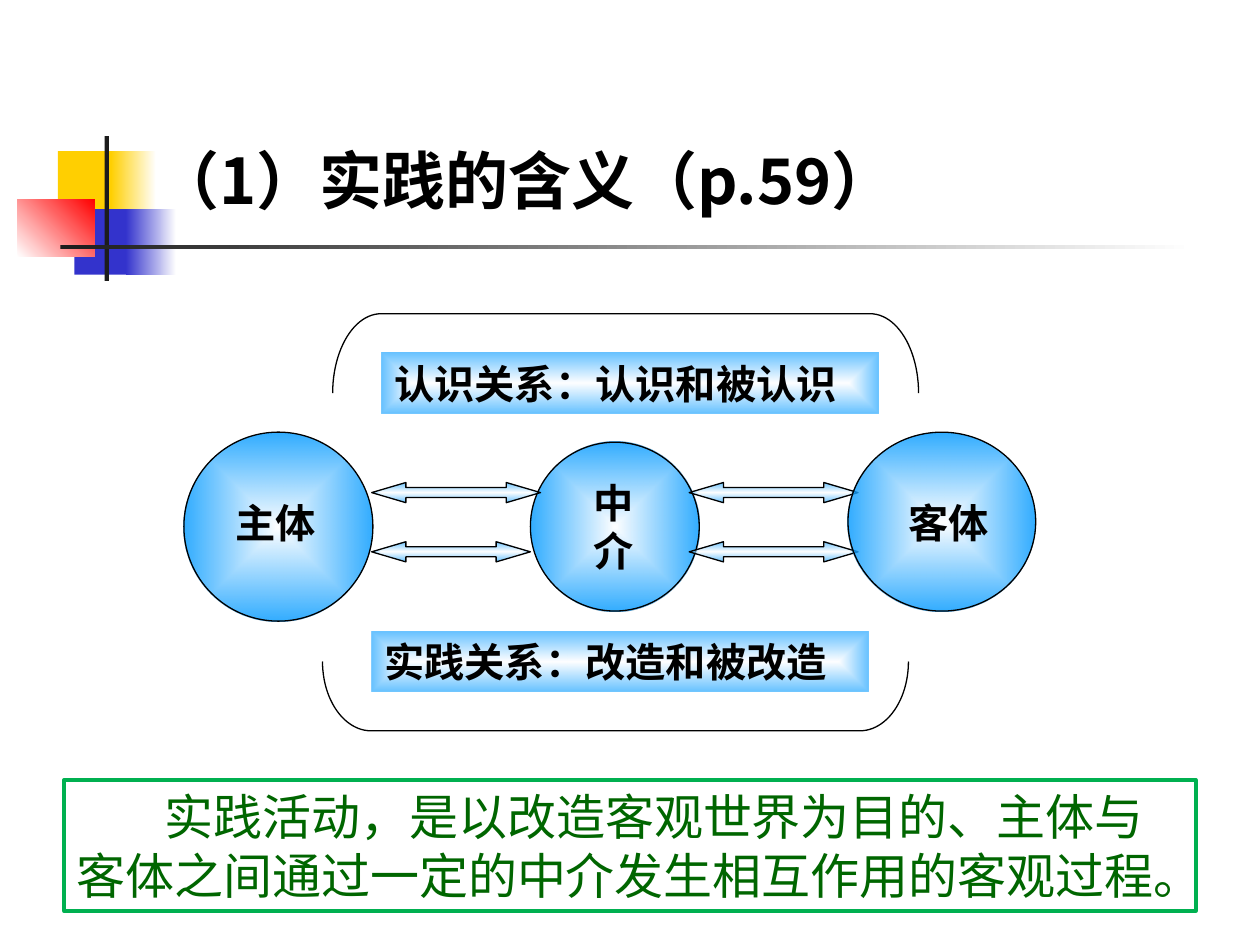
import dataclasses
import typing

import pptx
import pptx.dml.color
import pptx.enum.shapes
import pptx.enum.text
import pptx.oxml
import pptx.oxml.ns
import pptx.util

SHAPES = pptx.enum.shapes.MSO_SHAPE
COLUMNS, ROWS = 100, 75
deck = pptx.Presentation()
deck.slide_width = pptx.util.Inches(10)
deck.slide_height = pptx.util.Inches(7.5)
COLUMN = deck.slide_width / COLUMNS
ROW = deck.slide_height / ROWS


@dataclasses.dataclass(frozen=True)
class Theme:
    white: str = "FFFFFF"
    black: str = "000000"
    charcoal: str = "1C1C1C"
    yellow: str = "FFCF01"
    indigo: str = "3333CC"
    red: str = "FF0000"
    sky: str = "0099FF"
    border: str = "00B050"
    green: str = "006600"
    title_size: float = 36
    body_size: float = 28
    label_size: float = 23
    thin: float = 0.75
    thick: float = 2.25
    title_font: str = "Noto Sans CJK SC"
    body_font: str = "Noto Sans CJK JP"
    label_font: str = "Times New Roman"


THEME = Theme()


class Area(typing.NamedTuple):
    column: float
    row: float
    columns: float
    rows: float

    def lengths(self) -> tuple[int, ...]:
        return (round(self.column * COLUMN), round(self.row * ROW),
                round(self.columns * COLUMN), round(self.rows * ROW))


@dataclasses.dataclass(frozen=True)
class Gradient:
    start: str
    end: str
    angle: int = 0
    path_kind: str = ""
    alpha: int = 100


def glow(kind: str, alpha: int) -> Gradient:
    return Gradient(THEME.white, THEME.sky, path_kind=kind, alpha=alpha)


class Party(typing.NamedTuple):
    name: str
    circle: Area
    label: Area


class Relation(typing.NamedTuple):
    wording: str
    banner: Area
    bracket: Area
    rotation: int
    bend: float


def color(value: str) -> pptx.dml.color.RGBColor:
    return pptx.dml.color.RGBColor.from_string(value)


def apply_gradient(shape, gradient: Gradient) -> None:
    stops = "".join(
        f'<a:gs pos="{position}"><a:srgbClr val="{value}">'
        f'<a:alpha val="{gradient.alpha * 1000}"/></a:srgbClr></a:gs>'
        for position, value in ((0, gradient.start), (100000, gradient.end)))
    if gradient.path_kind:
        direction = (f'<a:path path="{gradient.path_kind}"><a:fillToRect '
                     'l="50000" t="50000" r="50000" b="50000"/></a:path>')
    else:
        direction = f'<a:lin ang="{gradient.angle * 60000}" scaled="0"/>'
    shape.fill.background()
    empty_fill = shape._element.spPr.find(pptx.oxml.ns.qn("a:noFill"))
    empty_fill.getparent().replace(empty_fill, pptx.oxml.parse_xml(
        f'<a:gradFill {pptx.oxml.ns.nsdecls("a")} rotWithShape="1">'
        f'<a:gsLst>{stops}</a:gsLst>{direction}</a:gradFill>'))


def draw_shape(page, kind, area: Area, fill: str | Gradient | None = None,
               line: str | None = None, width: float = THEME.thin,
               rotation: float = 0, adjustments: tuple[float, ...] = ()):
    shape = page.shapes.add_shape(kind, *area.lengths())
    shape.shadow.inherit = False
    shape.rotation = rotation
    for index, value in enumerate(adjustments):
        shape.adjustments[index] = value
    if isinstance(fill, Gradient):
        apply_gradient(shape, fill)
    elif fill:
        shape.fill.solid()
        shape.fill.fore_color.rgb = color(fill)
    else:
        shape.fill.background()
    if line:
        shape.line.color.rgb = color(line)
        shape.line.width = pptx.util.Pt(width)
    else:
        shape.line.fill.background()
    return shape


def write_text(box, text: str, *, size: float, font: str, ink: str = THEME.black,
               bold: bool = False, indent: float = 0) -> None:
    frame = box.text_frame
    frame.word_wrap = True
    frame.vertical_anchor = pptx.enum.text.MSO_ANCHOR.MIDDLE
    para = frame.paragraphs[0]
    para.alignment = pptx.enum.text.PP_ALIGN.LEFT
    if indent:
        para._p.get_or_add_pPr().set("indent", str(round(indent * COLUMN)))
    span = para.add_run()
    span.text = text
    span.font.size = pptx.util.Pt(size)
    span.font.name = font
    span.font.bold = bold
    span.font.color.rgb = color(ink)


def write_label(box, text: str) -> None:
    write_text(box, text, size=THEME.label_size, font=THEME.label_font, bold=True)


def add_text_box(page, area: Area):
    return page.shapes.add_textbox(*area.lengths())


def draw_ornament(page) -> None:
    blocks = (
        (Area(4.6, 12, 4.8, 5.2), THEME.yellow),
        (Area(8.8, 12, 3.6, 5.2), Gradient(THEME.yellow, THEME.white)),
        (Area(5.9, 16.6, 4.6, 5.2), THEME.indigo),
        (Area(10, 16.6, 4, 5.2), Gradient(THEME.indigo, THEME.white)),
        (Area(1.4, 15.8, 6.1, 4.6), Gradient(THEME.white, THEME.red, angle=315)),
        (Area(8.3, 10.8, 0.35, 11.5), THEME.charcoal),
        (Area(4.8, 19.45, 90, 0.35), Gradient(THEME.charcoal, THEME.white)),
    )
    for area, fill in blocks:
        draw_shape(page, SHAPES.RECTANGLE, area, fill)


def draw_party(page, party: Party) -> None:
    draw_shape(page, SHAPES.OVAL, party.circle, glow("shape", 80), THEME.black)
    write_label(add_text_box(page, party.label), party.name)


def draw_exchange(page, area: Area) -> None:
    draw_shape(page, SHAPES.LEFT_RIGHT_ARROW, area, glow("rect", 60), THEME.black,
               adjustments=(0.5, 1.7))


def draw_relation(page, relation: Relation) -> None:
    draw_shape(page, SHAPES.LEFT_BRACKET, relation.bracket, line=THEME.black,
               rotation=relation.rotation, adjustments=(relation.bend,))
    banner = draw_shape(page, SHAPES.RECTANGLE, relation.banner, glow("shape", 60))
    write_label(banner, relation.wording)


PARTIES = (
    Party("主体", Area(14.6, 34.3, 15, 15), Area(17.7, 39.1, 10.2, 4.8)),
    Party("中介", Area(42.1, 35.1, 13.4, 13.4), Area(46.1, 37.5, 7.1, 8.6)),
    Party("客体", Area(67.3, 34.3, 14.9, 14.2), Area(71.1, 39.1, 9, 4.8)),
)
EXCHANGES = (Area(29.5, 43, 12.6, 1.6), Area(54.7, 43, 13.4, 1.6),
             Area(29.5, 38.3, 13.4, 1.6), Area(54.7, 38.3, 13.4, 1.6))
RELATIONS = (
    Relation("实践关系：改造和被改造", Area(29.5, 50.1, 39.4, 4.8),
             Area(46.1, 32, 5.5, 46.5), 270, 0.7),
    Relation("认识关系：认识和被认识", Area(30.3, 28, 39.4, 4.8),
             Area(46.5, 4.8, 6.3, 46.5), 90, 0.61),
)


def main() -> None:
    page = deck.slides.add_slide(deck.slide_layouts[6])
    draw_ornament(page)
    write_text(add_text_box(page, Area(11.4, 10.7, 82.7, 7.1)), "（1）实践的含义（p.59）",
               size=THEME.title_size, font=THEME.title_font, bold=True)
    definition = draw_shape(page, SHAPES.RECTANGLE, Area(5.1, 61.9, 89.8, 10.4),
                            THEME.white, THEME.border, THEME.thick)
    write_text(definition,
               "实践活动，是以改造客观世界为目的、主体与客体之间通过一定的中介发生相互作用的客观过程。",
               size=THEME.body_size, font=THEME.body_font, ink=THEME.green, indent=7)
    for party in PARTIES[:2]:
        draw_party(page, party)
    for area in EXCHANGES:
        draw_exchange(page, area)
    draw_party(page, PARTIES[2])
    for relation in RELATIONS:
        draw_relation(page, relation)
    deck.save("out.pptx")


if __name__ == "__main__":
    main()
